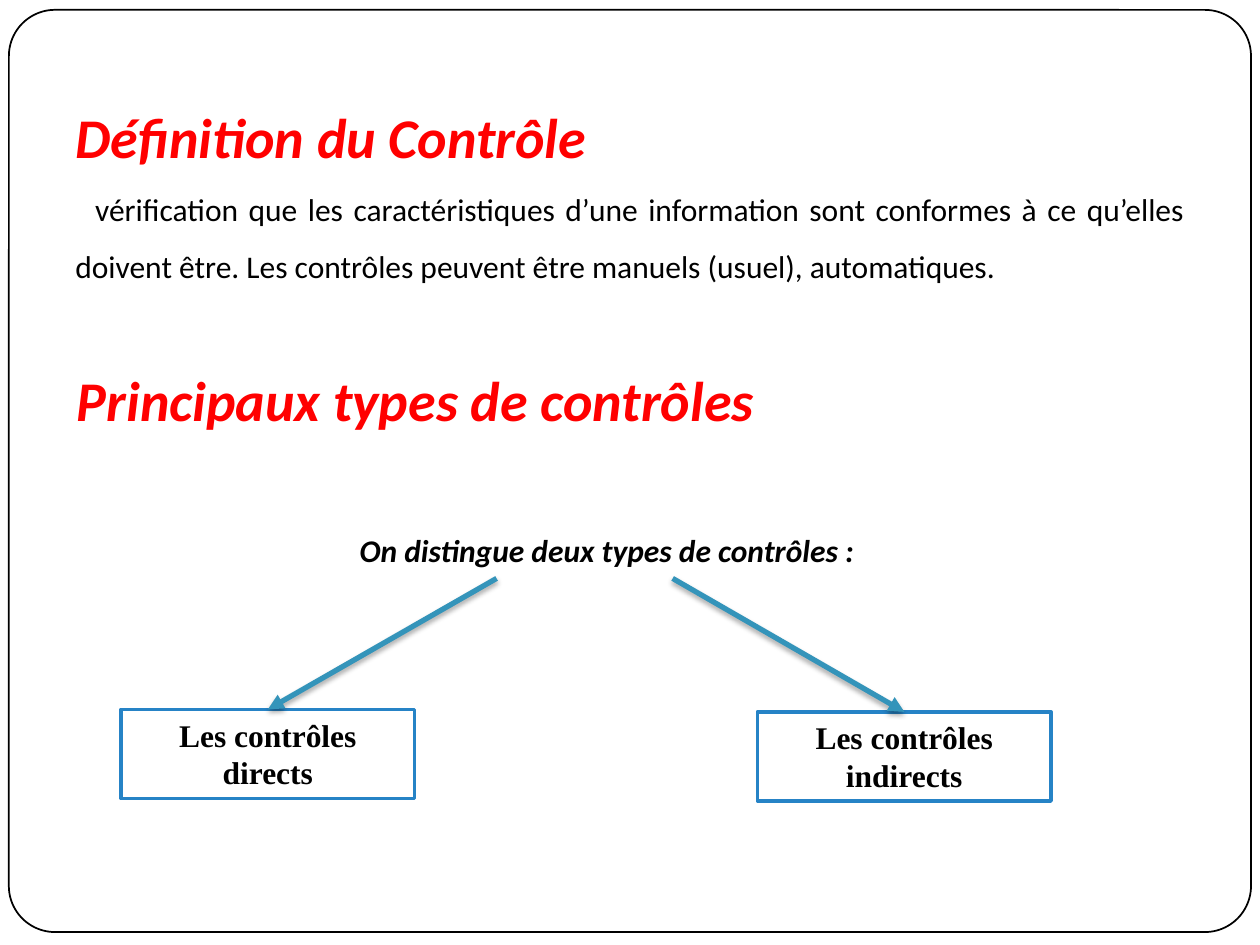
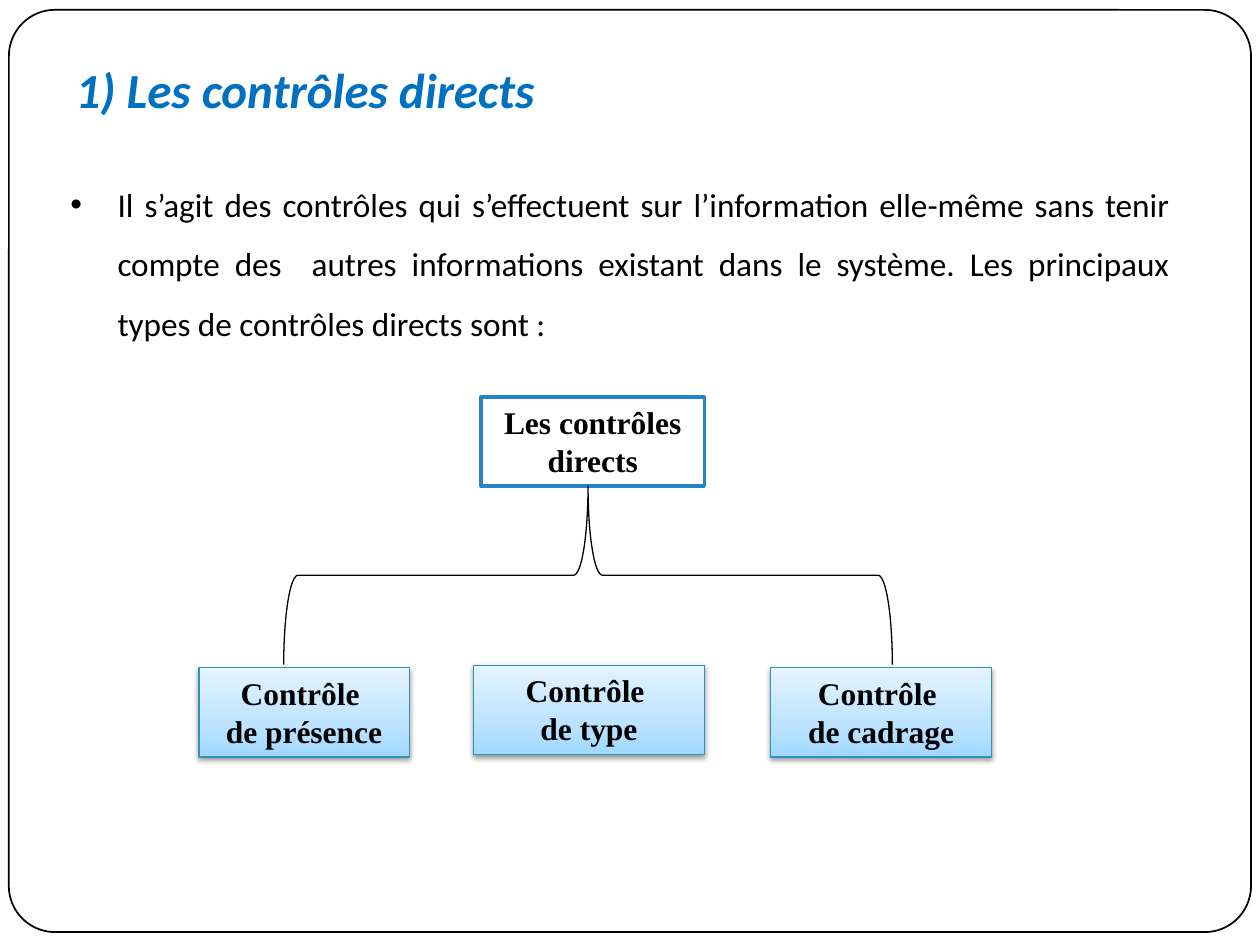
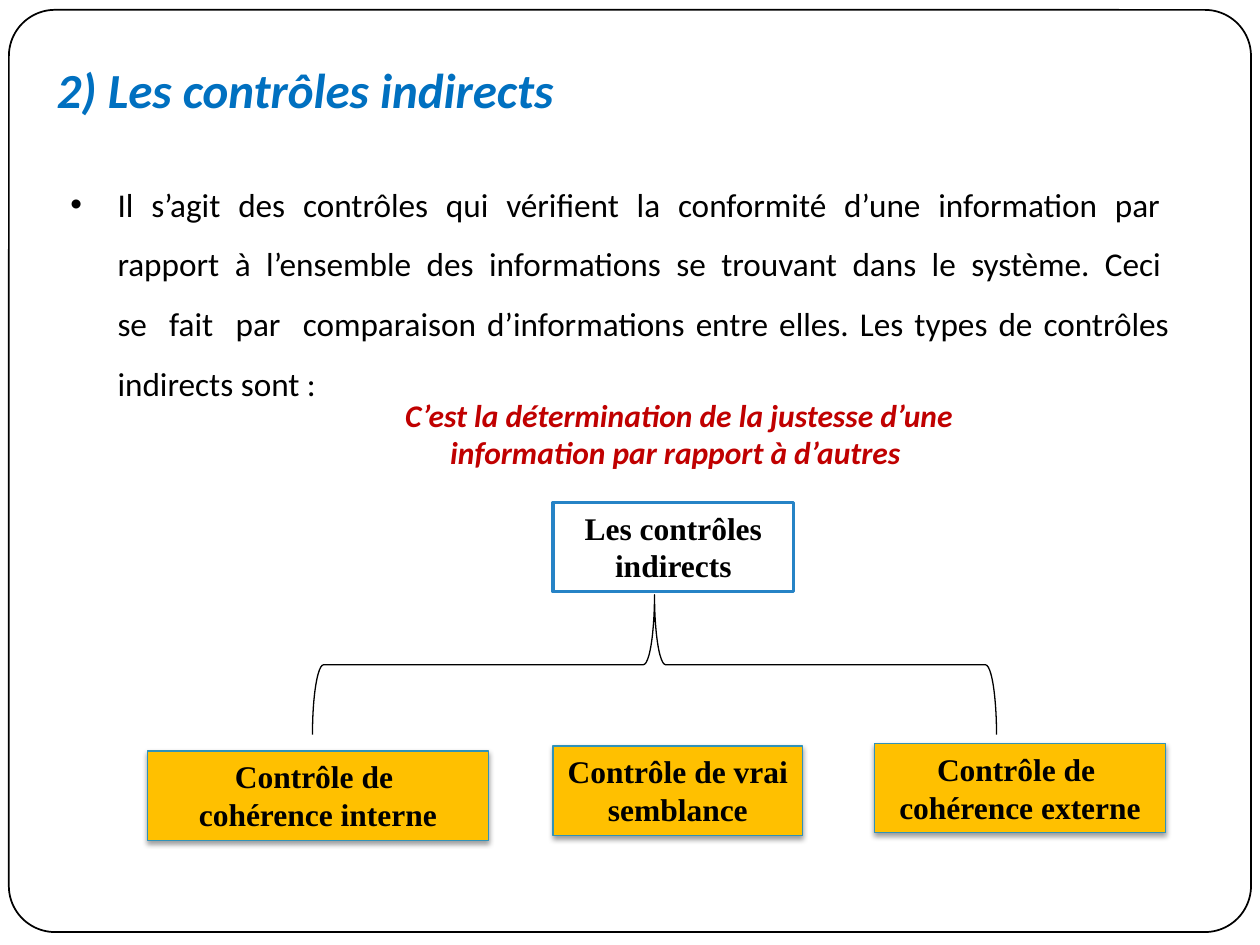
from lxml.etree import SubElement
from pptx import Presentation
from pptx.dml.color import RGBColor
from pptx.enum.shapes import MSO_CONNECTOR as Connector, MSO_SHAPE as Shape
from pptx.enum.text import MSO_ANCHOR as Anchor, MSO_AUTO_SIZE as AutoSize, PP_ALIGN as Align
from pptx.oxml.ns import qn
from pptx.util import Cm, Pt

BLACK, WHITE = "000000", "FFFFFF"
BOX_EDGE, ARROW, LEAF_EDGE = "2683C6", "3494BA", "3092B9"
BLUE_GRADIENT = [(0, "A0D8FF"), (35, "BCE3FF"), (100, "E5F4FF")]
AMBER = "FFC000"

FRAME = (0.18, 0.2, 25.04, 18.59)
DIRECT_TITLE = (-0.2, 1.07, 12.7, 1.45)
BOX_HEIGHT = 1.8

HEADING = dict(size=32, color="FF0000", bold=True, italic=True)
SUBHEADING = dict(size=28, color="0070C0", bold=True, italic=True)
BODY = dict(size=18)
BULLET = dict(size=19)
LEAD = dict(size=18, bold=True, italic=True)
NOTE = dict(size=18, color="C00000", bold=True, italic=True)
LABEL = dict(size=18, name="Times New Roman", bold=True)

DEFINITION = {
    "title": "Définition du Contrôle",
    "text": "vérification que les caractéristiques d’une information sont conformes à ce "
            "qu’elles doivent être. Les contrôles peuvent être manuels (usuel), automatiques.",
    "section": "Principaux types de contrôles",
    "lead": "On distingue deux types de contrôles :",
    # label, left, top, start of the arrow
    "types": [
        ("Les contrôles directs", 2.44, 14.3, (10.01, 11.66)),
        ("Les contrôles indirects", 15.27, 14.35, (13.56, 11.66)),
    ],
    "type_width": 5.92,
}

TREES = [
    {
        "title": "1) Les contrôles directs",
        "text": "Il s’agit des contrôles qui s’effectuent sur l’information elle-même sans tenir "
                "compte des  autres informations existant dans le système. Les principaux types "
                "de contrôles directs sont : ",
        "text_height": 3.78,
        "root": ("Les contrôles directs", 9.7, 8.0, 4.5),
        "brace": (5.72, 9.79, 12.27, 3.61),
        "fill": BLUE_GRADIENT,
        "leaves": [
            ("Contrôle \nde présence", 4.01, 13.46, 4.24),
            ("Contrôle \nde type", 9.55, 13.41, 4.65),
            ("Contrôle \nde cadrage", 15.54, 13.46, 4.45),
        ],
    },
    {
        "title": "2) Les contrôles indirects",
        "text": "Il  s’agit  des  contrôles  qui  vérifient  la  conformité  d’une  information  "
                "par  rapport  à  l’ensemble  des  informations  se  trouvant  dans  le  système.  "
                "Ceci  se  fait  par  comparaison d’informations entre elles. Les types de "
                "contrôles indirects sont : ",
        "text_height": 5.0,
        "root": ("Les contrôles indirects", 11.15, 10.13, 4.85),
        "brace": (6.3, 11.99, 13.79, 2.82),
        "fill": AMBER,
        "leaves": [
            ("Contrôle de \ncohérence interne", 2.97, 15.14, 6.88),
            ("Contrôle de vrai semblance", 11.15, 15.04, 5.03),
            ("Contrôle de \ncohérence externe", 17.63, 14.99, 5.87),
        ],
        "note": "C’est la détermination de la justesse d’une information par rapport à d’autres ",
    },
]


def rgb(color):
    return RGBColor.from_string(color)


def cm(values):
    return [Cm(value) for value in values]


def write(shape, text, style, align=Align.LEFT, spacing=None, indent=None, bullet=False):
    """Fill a shape with one paragraph per line; indent is (left, first line) in cm."""
    frame = shape.text_frame
    frame.word_wrap = True
    frame.auto_size = AutoSize.NONE
    frame.vertical_anchor = Anchor.TOP
    frame.text = text
    look = {"name": "Calibri", "bold": False, "italic": False, **style}
    color, size = look.pop("color", BLACK), look.pop("size")
    for para in frame.paragraphs:
        para.alignment = align
        if spacing:
            para.line_spacing = spacing
        properties = para._p.get_or_add_pPr()
        if indent:
            for key, value in zip(("marL", "indent"), cm(indent)):
                properties.set(key, str(int(value)))
        if bullet:
            SubElement(properties, qn("a:buFont"), typeface="Arial")
            SubElement(properties, qn("a:buChar"), char="•")
        for span in para.runs:
            for key, value in look.items():
                setattr(span.font, key, value)
            span.font.size = Pt(size)
            span.font.color.rgb = rgb(color)


def add_text(page, place, text, style, **layout):
    write(page.shapes.add_textbox(*cm(place)), text, style, **layout)


def set_title(page, place, text, style, **layout):
    title = page.shapes.title
    title.left, title.top, title.width, title.height = cm(place)
    write(title, text, style, **layout)


def set_line(item, color, width):
    item.line.color.rgb = rgb(color)
    item.line.width = Pt(width)


def add_shadow(effects, distance, opacity):
    shadow = SubElement(effects, qn("a:outerShdw"), blurRad=str(Pt(3.1)),
                        dist=str(Pt(distance)), dir="5400000", rotWithShape="0")
    color = SubElement(shadow, qn("a:srgbClr"), val=BLACK)
    SubElement(color, qn("a:alpha"), val=str(opacity * 1000))


def set_gradient(shape, stops):
    shape.fill.gradient()
    shape.fill.gradient_angle = 90
    stop_list = shape.element.spPr.find(qn("a:gradFill")).find(qn("a:gsLst"))
    for old in list(stop_list):
        stop_list.remove(old)
    for position, color in stops:
        stop = SubElement(stop_list, qn("a:gs"), pos=str(position * 1000))
        SubElement(stop, qn("a:srgbClr"), val=color)


def add_box(page, text, left, top, width, fill=WHITE, edge=(BOX_EDGE, 2), shadow=False):
    box = page.shapes.add_shape(Shape.RECTANGLE, *cm((left, top, width, BOX_HEIGHT)))
    if isinstance(fill, list):
        set_gradient(box, fill)
    else:
        box.fill.solid()
        box.fill.fore_color.rgb = rgb(fill)
    set_line(box, *edge)
    box.shadow.inherit = False
    if shadow:
        add_shadow(box.element.spPr.find(qn("a:effectLst")), 1.6, 38)
    write(box, text, LABEL, align=Align.CENTER)


def add_arrow(page, start, end):
    arrow = page.shapes.add_connector(Connector.STRAIGHT, *cm(start + end))
    set_line(arrow, ARROW, 3)
    SubElement(arrow.line._get_or_add_ln(), qn("a:tailEnd"), type="triangle")
    add_shadow(SubElement(arrow.element.spPr, qn("a:effectLst")), 1.8, 35)


def add_outline(page, kind, place, adjustments, width):
    shape = page.shapes.add_shape(kind, *cm(place))
    for index, value in enumerate(adjustments):
        shape.adjustments[index] = value
    shape.fill.background()
    set_line(shape, BLACK, width)
    shape.shadow.inherit = False
    return shape


def add_brace(page, left, top, width, height):
    """Draw a brace pointing up that covers the given area."""
    shift = (width - height) / 2
    place = (left + shift, top - shift, height, width)
    add_outline(page, Shape.RIGHT_BRACE, place, (0.08, 0.5), 0.75).rotation = 270


def add_frame_to_layout(layout, page):
    frame = add_outline(page, Shape.ROUNDED_RECTANGLE, FRAME, (0.05,), 1)
    layout.shapes.element.insert(2, frame.element)


def build_definition(page):
    content = DEFINITION
    set_title(page, (1.27, 1.27, 22.86, 2.29), content["title"], HEADING, spacing=1.5)
    add_text(page, (1.27, 3.33, 22.86, 2.57), content["text"], BODY,
             align=Align.JUSTIFY, spacing=1.5, indent=(0, 0.4))
    add_text(page, (1.3, 7.24, 17.45, 1.63), content["section"], HEADING)
    add_text(page, (7.0, 10.59, 16, 1.02), content["lead"], LEAD)
    width = content["type_width"]
    for label, left, top, start in content["types"]:
        add_box(page, label, left, top, width)
        add_arrow(page, start, (left + width / 2, top))


def build_tree(page, tree):
    set_title(page, DIRECT_TITLE, tree["title"], SUBHEADING, align=Align.CENTER)
    add_text(page, (1.17, 3.18, 22.66, tree["text_height"]), tree["text"], BULLET,
             align=Align.JUSTIFY, spacing=1.5, indent=(0.95, -0.95), bullet=True)
    add_box(page, *tree["root"])
    for leaf in tree["leaves"]:
        add_box(page, *leaf, fill=tree["fill"], edge=(LEAF_EDGE, 0.75), shadow=True)
    add_brace(page, *tree["brace"])
    if "note" in tree:
        add_text(page, (7.29, 7.85, 12.8, 1.8), tree["note"], NOTE, align=Align.CENTER)


def main():
    deck = Presentation()
    deck.slide_width, deck.slide_height = cm((25.4, 19.05))
    layout = deck.slide_layouts[5]
    first = deck.slides.add_slide(layout)
    add_frame_to_layout(layout, first)
    build_definition(first)
    for tree in TREES:
        build_tree(deck.slides.add_slide(layout), tree)
    deck.save("out.pptx")


if __name__ == "__main__":
    main()
